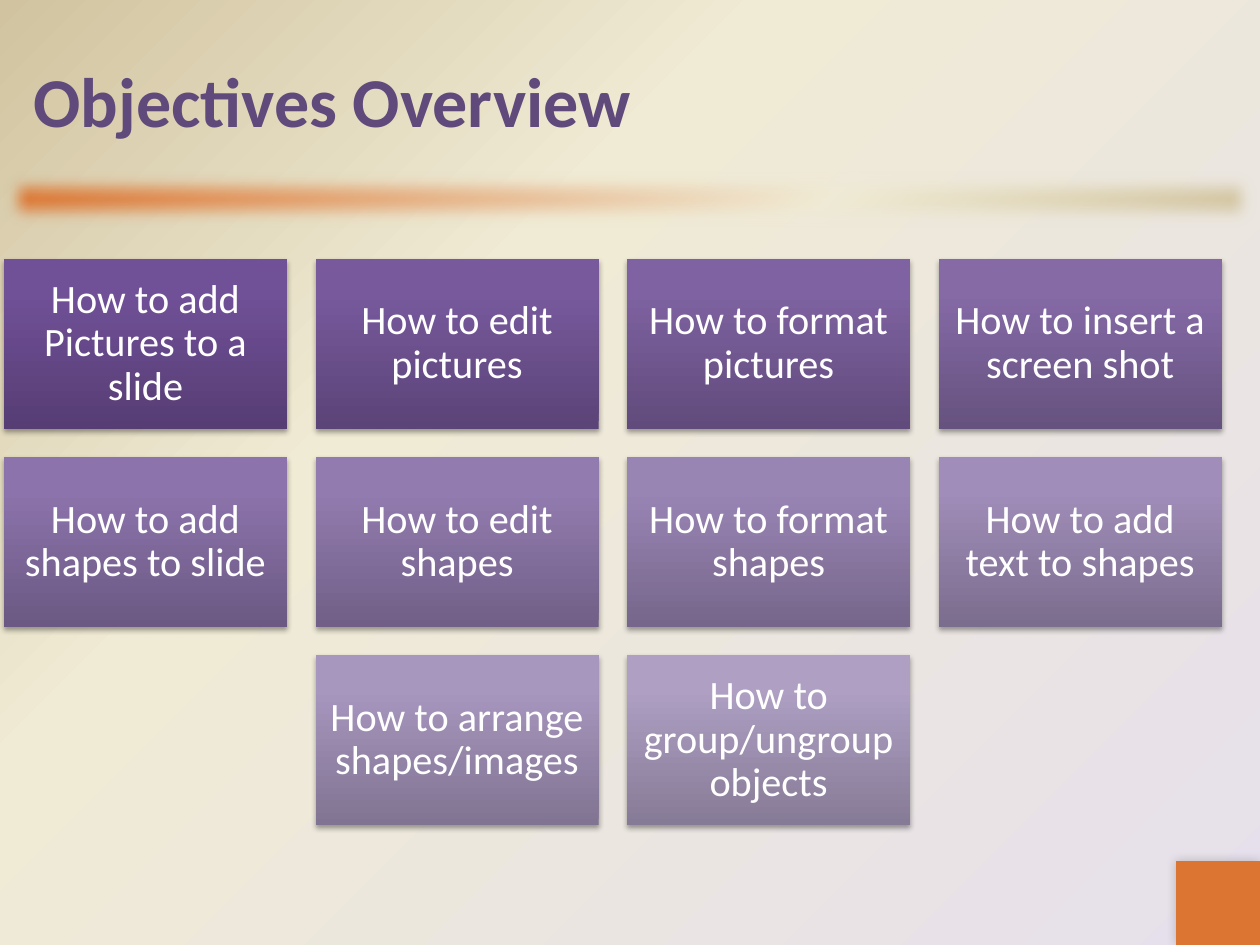
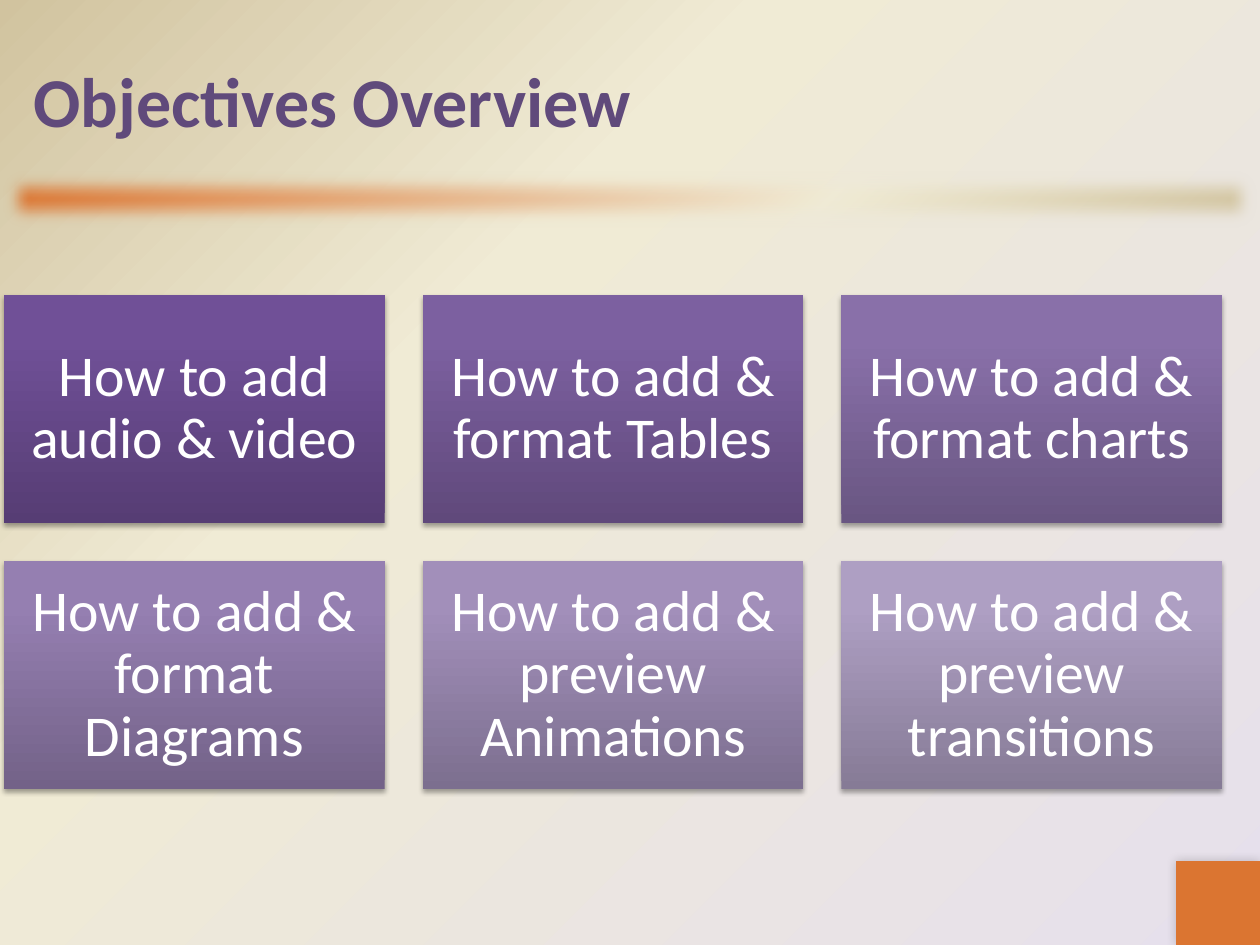
from math import ceil

from lxml.etree import SubElement
from pptx import Presentation
from pptx.dml.color import RGBColor
from pptx.enum.shapes import MSO_SHAPE
from pptx.enum.text import MSO_ANCHOR, PP_ALIGN
from pptx.oxml.ns import qn
from pptx.util import Emu, Pt

PX_PER_INCH = 126
EMU_PER_PT = 12700
SLIDE_W, SLIDE_H = 1260, 945

FONT = "Calibri"
PURPLE, ORANGE, CREAM, TAN, LILAC, WHITE = (
    "604A7B", "DB7531", "F0EBD5", "D1C39F", "E6E0EC", "FFFFFF")
# Gradient position: colour on the first card, colour on the last card
CARD_RAMP = {0: ("563D74", "867B96"),
             80: ("705097", "AE9FC3"),
             100: ("704F99", "AE9FC4")}

GRID_LEFT, GRID_WIDTH, GRID_MIDDLE = 4, 1218, 542
GAP_RATIO, HEIGHT_RATIO = 0.1, 0.6

TITLE = "Objectives Overview"
OBJECTIVES = [
    dict(columns=4, size=23, inset=12, texts=[
        "How to add Pictures to a slide",
        "How to edit pictures",
        "How to format pictures",
        "How to insert a screen shot",
        "How to add shapes to slide",
        "How to edit shapes",
        "How to format shapes",
        "How to add text to shapes",
        "How to arrange shapes/images",
        "How to group/ungroup objects",
    ]),
    dict(columns=3, size=33, inset=17, texts=[
        "How to add audio & video",
        "How to add & format Tables",
        "How to add & format charts",
        "How to add & format Diagrams",
        "How to add & preview Animations",
        "How to add & preview transitions",
    ]),
]


def px(n):
    return Emu(round(n * 914400 / PX_PER_INCH))


def color(value):
    return RGBColor.from_string(value)


def set_attrs(obj, values):
    for name, value in values.items():
        setattr(obj, name, value)


def blend(first, last, t):
    """Return the hex colour at share t of the way from first to last."""
    pairs = zip(bytes.fromhex(first), bytes.fromhex(last))
    return "".join(f"{round(a + (b - a) * t):02X}" for a, b in pairs)


def set_gradient(fill, owner, stops, angle=None):
    """Fill with {percent: hex}; without an angle, radiate from bottom right."""
    fill.gradient()
    grad = owner.xpath(".//a:gradFill")[0]
    for child in list(grad):
        grad.remove(child)
    gs_lst = SubElement(grad, qn("a:gsLst"))
    for pos, value in stops.items():
        gs = SubElement(gs_lst, qn("a:gs"), pos=str(pos * 1000))
        SubElement(gs, qn("a:srgbClr"), val=value)
    if angle is None:
        circle = SubElement(grad, qn("a:path"), path="circle")
        SubElement(circle, qn("a:fillToRect"), l="100000", t="100000")
    else:
        SubElement(grad, qn("a:lin"), ang=str(angle * 60000), scaled="0")


def add_effect(sp, name, **values):
    effects = sp._element.spPr.find(qn("a:effectLst"))
    return SubElement(effects, qn(f"a:{name}"),
                      {k: str(v) for k, v in values.items()})


def add_shadow(sp, alpha, blur, dist, angle):
    shadow = add_effect(sp, "outerShdw", blurRad=round(blur * EMU_PER_PT),
                        dist=round(dist * EMU_PER_PT), dir=angle * 60000,
                        algn="ctr", rotWithShape=0)
    black = SubElement(shadow, qn("a:srgbClr"), val="000000")
    SubElement(black, qn("a:alpha"), val=str(alpha * 1000))


def add_rect(slide, x, y, w, h):
    sp = slide.shapes.add_shape(MSO_SHAPE.RECTANGLE, px(x), px(y), px(w), px(h))
    sp.shadow.inherit = False
    sp.line.fill.background()
    return sp


def format_font(font, size, value, bold=False):
    set_attrs(font, dict(name=FONT, size=Pt(size), bold=bold))
    font.color.rgb = color(value)


def add_title(slide, text):
    title = slide.shapes.title
    set_attrs(title, dict(left=px(21), top=px(21), width=px(1218), height=px(158)))
    tf = title.text_frame
    tf.text = text
    tf.vertical_anchor = MSO_ANCHOR.MIDDLE
    p = tf.paragraphs[0]
    p.alignment = PP_ALIGN.LEFT
    format_font(p.runs[0].font, 40, PURPLE, bold=True)


def add_band(slide):
    band = add_rect(slide, 0, 168, SLIDE_W, 63)
    set_gradient(band.fill, band._element, {0: ORANGE, 65: CREAM, 100: TAN}, 45)
    add_effect(band, "softEdge", rad=10 * EMU_PER_PT)


def add_corner(slide):
    side = 84
    corner = add_rect(slide, SLIDE_W - side, SLIDE_H - side, side, side)
    corner.fill.solid()
    corner.fill.fore_color.rgb = color(ORANGE)
    add_shadow(corner, alpha=20, blur=6, dist=0, angle=225)


def add_card(slide, box, text, shade, size, inset):
    sp = add_rect(slide, *box)
    stops = {pos: blend(*ends, shade) for pos, ends in CARD_RAMP.items()}
    set_gradient(sp.fill, sp._element, stops, 270)
    add_shadow(sp, alpha=35, blur=3.1, dist=1.8, angle=90)
    tf = sp.text_frame
    margins = ("margin_left", "margin_top", "margin_right", "margin_bottom")
    set_attrs(tf, dict.fromkeys(margins, px(inset)))
    set_attrs(tf, dict(word_wrap=True, vertical_anchor=MSO_ANCHOR.MIDDLE))
    p = tf.paragraphs[0]
    set_attrs(p, dict(alignment=PP_ALIGN.CENTER, line_spacing=0.9))
    r = p.add_run()
    r.text = text
    format_font(r.font, size, WHITE)


def add_cards(slide, texts, columns, size, inset):
    """Lay out the cards in rows, with a short last row centred."""
    w = GRID_WIDTH / (columns + GAP_RATIO * (columns - 1))
    h, gap = w * HEIGHT_RATIO, w * GAP_RATIO
    rows = ceil(len(texts) / columns)
    top = GRID_MIDDLE - (rows * (h + gap) - gap) / 2
    for i, text in enumerate(texts):
        row, col = divmod(i, columns)
        missing = max(0, (row + 1) * columns - len(texts))
        x = GRID_LEFT + (col + missing / 2) * (w + gap)
        y = top + row * (h + gap)
        add_card(slide, (x, y, w, h), text, i / (len(texts) - 1), size, inset)


def main():
    prs = Presentation()
    set_attrs(prs, dict(slide_width=px(SLIDE_W), slide_height=px(SLIDE_H)))
    master = prs.slide_master
    set_gradient(master.background.fill, master._element,
                 {0: LILAC, 65: CREAM, 100: TAN})
    for cards in OBJECTIVES:
        slide = prs.slides.add_slide(prs.slide_layouts[5])
        add_band(slide)
        add_corner(slide)
        add_title(slide, TITLE)
        add_cards(slide, **cards)
    prs.save("out.pptx")


if __name__ == "__main__":
    main()
